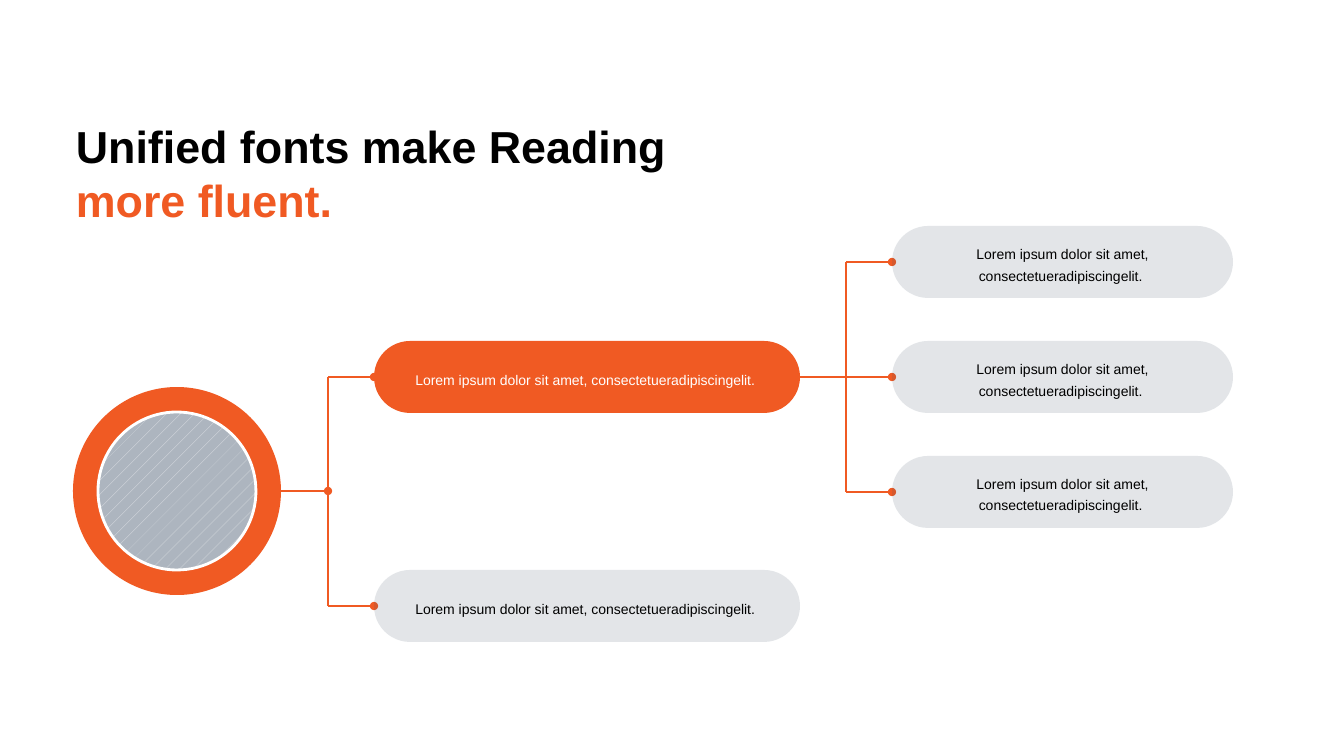
import pptx
import pptx.util
import pptx.dml.color
import pptx.enum.dml
import pptx.enum.shapes
import pptx.enum.text
import pptx.oxml
import pptx.oxml.ns
from lxml import etree

SCALE = 914400 / 100.8
COLORS = {"accent": "F05A23", "slate": "44546A", "stripe": "E4E6EA",
          "photo": "ADB5BF", "white": "FFFFFF", "black": "000000"}
HEADLINE = [("Unified fonts make Reading ", "black"), ("more fluent.", "accent")]
HEADLINE_BOX = (66, 114, 728, 119)
LOREM = "Lorem ipsum dolor sit amet, consectetueradipiscingelit. "

PILL_HEIGHT = 72
BRANCH_LEFT, BRANCH_WIDTH = 374, 426
LEAF_LEFT, LEAF_WIDTH = 892, 341
LEAF_TOP, LEAF_STEP = 226, 115
PILLS = {
    "main": (LOREM, BRANCH_LEFT, 341, BRANCH_WIDTH, "accent", "white"),
    "second": (LOREM, BRANCH_LEFT, 570, BRANCH_WIDTH, "slate", "black"),
}
for row in range(3):
    PILLS[f"leaf{row}"] = (LOREM, LEAF_LEFT, LEAF_TOP + row * LEAF_STEP,
                           LEAF_WIDTH, "slate", "black")
RING_LEFT, RING_TOP, RING_SIZE, RING_INSET = 73, 387, 208, 25
STEM_GAP = 46
LEFT_SIDE, RIGHT_SIDE = 1, 3


def emu(px):
    return round(px * SCALE)


def rgb(name):
    return pptx.dml.color.RGBColor.from_string(COLORS[name])


def style_run(run, color, **formats):
    for attribute, value in {"name": "Arial", **formats}.items():
        setattr(run.font, attribute, value)
    run.font.color.rgb = rgb(color)


def add_round(slide, left, top, width, height, fill):
    round_shape = slide.shapes.add_shape(
        pptx.enum.shapes.MSO_SHAPE.ROUNDED_RECTANGLE,
        *map(emu, (left, top, width, height)))
    round_shape.adjustments[0] = 0.5
    round_shape.shadow.inherit = False
    round_shape.fill.solid()
    round_shape.fill.fore_color.rgb = rgb(fill)
    round_shape.line.fill.background()
    return round_shape


def add_pill(slide, wording, left, top, width, fill, ink):
    pill = add_round(slide, left, top, width, PILL_HEIGHT, fill)
    if fill == "slate":
        tint = pill.fill._xPr.find(".//" + pptx.oxml.ns.qn("a:srgbClr"))
        etree.SubElement(tint, pptx.oxml.ns.qn("a:alpha"), val="15000")
    frame = pill.text_frame
    frame.word_wrap = True
    frame.vertical_anchor = pptx.enum.text.MSO_ANCHOR.MIDDLE
    sentence = frame.paragraphs[0]
    sentence.alignment = pptx.enum.text.PP_ALIGN.CENTER
    sentence.line_spacing = 1.3
    run = sentence.add_run()
    run.text = wording
    style_run(run, ink, size=pptx.util.Pt(10))
    return pill


def add_link(slide, start, end, dot=True):
    link = slide.shapes.add_connector(
        pptx.enum.shapes.MSO_CONNECTOR.STRAIGHT, *map(emu, (*start, *end)))
    link.line.width = pptx.util.Pt(1)
    link.line.color.rgb = rgb("accent")
    if dot:
        etree.SubElement(link.line._get_or_add_ln(),
                         pptx.oxml.ns.qn("a:headEnd"), type="oval")
    etree.SubElement(link._element.spPr, pptx.oxml.ns.qn("a:effectLst"))
    return link


def add_headline(slide):
    headline = slide.shapes.add_textbox(*map(emu, HEADLINE_BOX))
    headline.text_frame.word_wrap = True
    for wording, color in HEADLINE:
        run = headline.text_frame.paragraphs[0].add_run()
        run.text = wording
        style_run(run, color, size=pptx.util.Pt(32), bold=True)


def add_tree(slide):
    ring = add_round(slide, RING_LEFT, RING_TOP, RING_SIZE, RING_SIZE, "accent")
    inner = RING_SIZE - 2 * RING_INSET
    photo = add_round(slide, RING_LEFT + RING_INSET, RING_TOP + RING_INSET,
                      inner, inner, "photo")
    photo.fill.patterned()
    photo.fill.pattern = pptx.enum.dml.MSO_PATTERN.PERCENT_5
    photo.fill.fore_color.rgb = rgb("stripe")
    photo.fill.back_color.rgb = rgb("photo")
    photo.line.color.rgb = rgb("white")
    photo.line.width = pptx.util.Pt(2)

    middle = {key: pill[2] + PILL_HEIGHT // 2 for key, pill in PILLS.items()}
    stem, fork = BRANCH_LEFT - STEM_GAP, LEAF_LEFT - STEM_GAP
    ring_middle = RING_TOP + RING_SIZE // 2
    add_link(slide, (stem, middle["main"]), (stem, middle["second"]), dot=False)
    root = add_link(slide, (stem, ring_middle), (RING_LEFT + RING_SIZE, ring_middle))
    root.end_connect(ring, RIGHT_SIDE)
    add_link(slide, (fork, middle["leaf0"]), (fork, middle["leaf2"]), dot=False)

    links = {}
    for key, (_, left, *_) in PILLS.items():
        end = BRANCH_LEFT + BRANCH_WIDTH if key == "leaf1" else left - STEM_GAP
        links[key] = add_link(slide, (left, middle[key]), (end, middle[key]))
    pills = {key: add_pill(slide, *pill) for key, pill in PILLS.items()}
    for key, link in links.items():
        link.begin_connect(pills[key], LEFT_SIDE)
    links["leaf1"].end_connect(pills["main"], RIGHT_SIDE)


def main():
    deck = pptx.Presentation()
    deck.slide_width, deck.slide_height = emu(1344), emu(756)
    slide = deck.slides.add_slide(deck.slide_layouts[6])
    add_tree(slide)
    add_headline(slide)
    deck.save("out.pptx")


if __name__ == "__main__":
    main()
